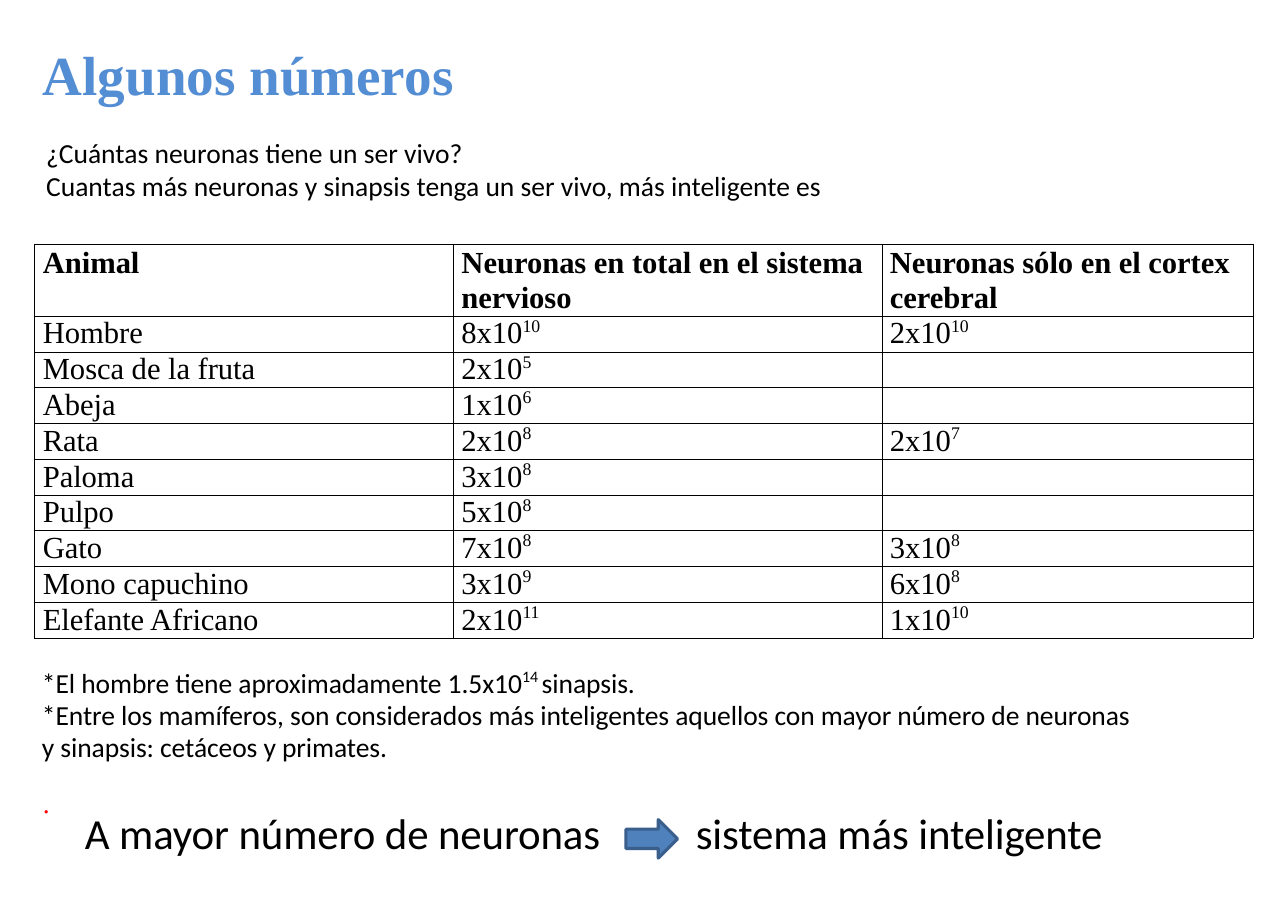
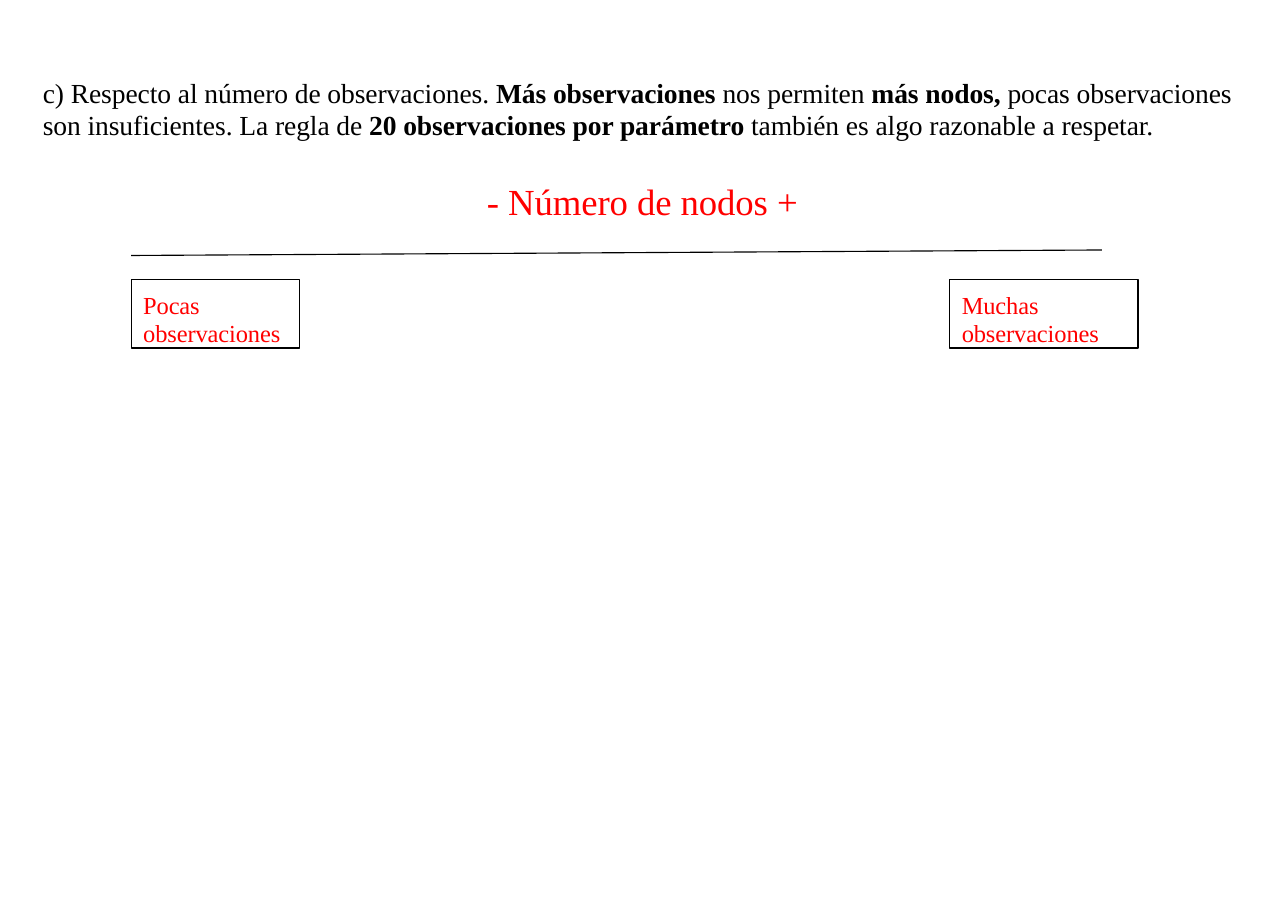
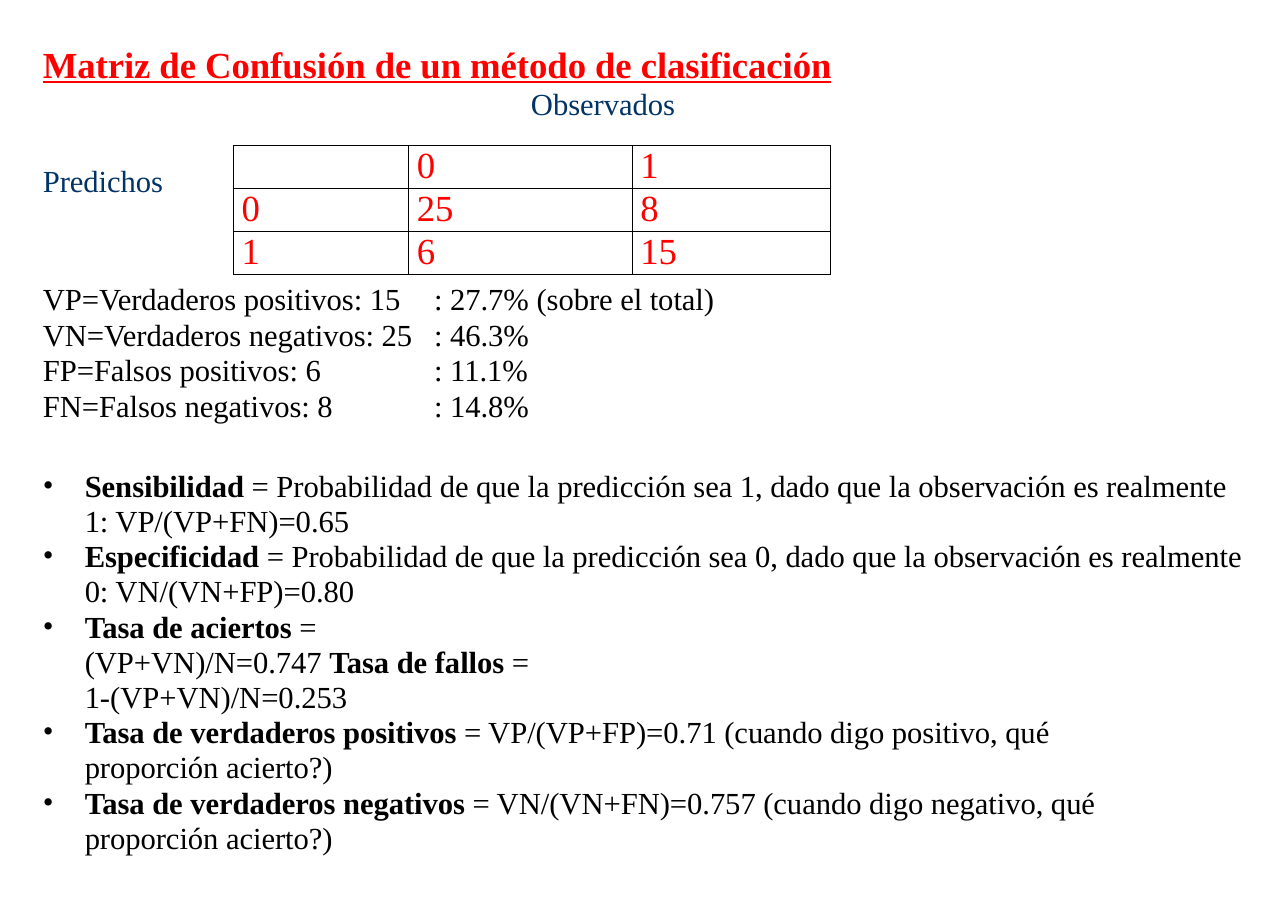
"""Build three slides on neurons, network size and the confusion matrix."""
from dataclasses import dataclass, replace
from typing import NamedTuple

from lxml.etree import SubElement
from pptx import Presentation
from pptx.dml.color import RGBColor
from pptx.enum.shapes import MSO_CONNECTOR, MSO_SHAPE
from pptx.enum.text import MSO_ANCHOR, PP_ALIGN
from pptx.oxml import parse_xml
from pptx.oxml.ns import nsdecls, qn
from pptx.util import Pt

BLACK, RED, NAVY = "000000", "FF0000", "003366"
TITLE_BLUE, ARROW_BLUE, ARROW_EDGE = "538DD3", "4F81BD", "3A5F8C"
SERIF, SANS = "Times New Roman", "Calibri"
MARGIN = 28
CELL_INSET = 5.3
BULLET_INDENT = 27.4


class Run(NamedTuple):
    """A stretch of text with one look."""
    text: str
    bold: bool = False
    raised: bool = False


class Box(NamedTuple):
    """A rectangle in points."""
    left: float
    top: float
    width: float
    height: float


@dataclass(frozen=True)
class Style:
    """The look shared by all the runs of a text."""
    size: float
    color: str = BLACK
    font: str = SERIF
    bold: bool = False
    underline: bool = False
    line_height: float | None = None
    tracking: int = -5
    bulleted: bool = False


Lines = list[list[Run]]

BODY = Style(20)
SANS_BODY = Style(18, font=SANS)
TITLE = Style(36, TITLE_BLUE, bold=True, tracking=0)
RED_TITLE = Style(24, RED, bold=True, underline=True, line_height=28.2)
AXIS_LABEL = Style(20, NAVY)
CONCLUSION = Style(28, font=SANS)
RANGE_LABEL = Style(16, RED, line_height=18.5)

ANIMALS = [
    ("Hombre", "8x10^10", "2x10^10"),
    ("Mosca de la fruta", "2x10^5", ""),
    ("Abeja", "1x10^6", ""),
    ("Rata", "2x10^8", "2x10^7"),
    ("Paloma", "3x10^8", ""),
    ("Pulpo", "5x10^8", ""),
    ("Gato", "7x10^8", "3x10^8"),
    ("Mono capuchino", "3x10^9", "6x10^8"),
    ("Elefante Africano", "2x10^11", "1x10^10"),
]
ANIMAL_HEADER = ("Animal", "Neuronas en total en el sistema nervioso",
                 "Neuronas sólo en el cortex cerebral")
MATRIX = [("", "0", "1"), ("0", "25", "8"), ("1", "6", "15")]
OUTCOMES = [
    ("VP=Verdaderos positivos: 15", ": 27.7% (sobre el total)"),
    ("VN=Verdaderos negativos: 25", ": 46.3%"),
    ("FP=Falsos positivos: 6", ": 11.1%"),
    ("FN=Falsos negativos: 8", ": 14.8%"),
]
MEASURES = [
    [Run("Sensibilidad ", True),
     Run("= Probabilidad de que la predicción sea 1, dado que la observación "
         "es realmente 1: VP/(VP+FN)=0.65")],
    [Run("Especificidad ", True),
     Run("= Probabilidad de que la predicción sea 0, dado que la observación "
         "es realmente 0: VN/(VN+FP)=0.80")],
    [Run("Tasa de aciertos ", True), Run("=\n(VP+VN)/N=0.747 "),
     Run("Tasa de fallos ", True), Run("=\n1-(VP+VN)/N=0.253")],
    [Run("Tasa de verdaderos positivos ", True),
     Run("= VP/(VP+FP)=0.71 (cuando digo positivo, qué\nproporción acierto?)")],
    [Run("Tasa de verdaderos negativos ", True),
     Run("= VN/(VN+FN)=0.757 (cuando digo negativo, qué\nproporción acierto?)")],
]


def rgb(color: str) -> RGBColor:
    """Turn a hex string into a colour."""
    return RGBColor.from_string(color)


def plain(*texts: str) -> Lines:
    """Make one paragraph of one run from each text."""
    return [[Run(text)] for text in texts]


def power(text: str) -> list[Run]:
    """Split a text at its caret into a base and a raised exponent."""
    base, _, exponent = text.partition("^")
    return [run for run in (Run(base), Run(exponent, raised=True)) if run.text]


def add_run(paragraph, text: str, content: Run, style: Style) -> None:
    """Add one run without line breaks to a paragraph."""
    run = paragraph.add_run()
    run.text = text
    font = run.font
    font.name, font.size = style.font, Pt(style.size)
    font.bold = style.bold or content.bold
    font.underline = style.underline
    font.color.rgb = rgb(style.color)
    properties = run._r.get_or_add_rPr()
    properties.set("spc", str(style.tracking))
    if content.raised:
        properties.set("baseline", "38000")


def write(frame, lines: Lines, style: Style) -> None:
    """Fill a text frame with paragraphs in one style."""
    for index, runs in enumerate(lines):
        paragraph = frame.paragraphs[0] if index == 0 else frame.add_paragraph()
        paragraph.alignment = PP_ALIGN.LEFT
        if style.line_height:
            paragraph.line_spacing = Pt(style.line_height)
        if style.bulleted:
            properties = paragraph._p.get_or_add_pPr()
            properties.set("marL", str(Pt(BULLET_INDENT)))
            properties.set("indent", str(-Pt(BULLET_INDENT)))
            SubElement(properties, qn("a:buFont"), typeface=SERIF)
            SubElement(properties, qn("a:buChar"), char="•")
        for content in runs:
            for part, text in enumerate(content.text.split("\n")):
                if part:
                    paragraph.add_line_break()
                add_run(paragraph, text, content, style)


def set_insets(holder, left: float = 0, top: float = 0) -> None:
    """Set the left and top insets of a frame or cell and clear the others."""
    holder.margin_left, holder.margin_top = Pt(left), Pt(top)
    holder.margin_right = holder.margin_bottom = 0


def add_text(slide, box: Box, lines: Lines, style: Style) -> None:
    """Add a wrapping text box without insets."""
    frame = slide.shapes.add_textbox(*map(Pt, box)).text_frame
    frame.word_wrap = True
    set_insets(frame)
    write(frame, lines, style)


def add_shape(slide, kind: MSO_SHAPE, box: Box, line: str, weight: float,
              fill: str | None = None):
    """Add a flat preset shape."""
    shape = slide.shapes.add_shape(kind, *map(Pt, box))
    shape.shadow.inherit = False
    shape.line.color.rgb, shape.line.width = rgb(line), Pt(weight)
    if fill:
        shape.fill.solid()
        shape.fill.fore_color.rgb = rgb(fill)
    else:
        shape.fill.background()
    return shape


def add_line(slide, start: tuple[float, float], end: tuple[float, float]) -> None:
    """Add a thin black straight line."""
    line = slide.shapes.add_connector(MSO_CONNECTOR.STRAIGHT, *map(Pt, start + end))
    line.line.color.rgb, line.line.width = rgb(BLACK), Pt(0.75)
    SubElement(line._element.spPr, qn("a:effectLst"))


def frame_cell(cell) -> None:
    """Leave a cell unfilled and draw its four thin black borders."""
    cell.fill.background()
    properties = cell._tc.get_or_add_tcPr()
    for index, side in enumerate("LRTB"):
        properties.insert(index, parse_xml(
            f'<a:ln{side} {nsdecls("a")} w="{Pt(0.5)}"><a:solidFill>'
            f'<a:srgbClr val="{BLACK}"/></a:solidFill></a:ln{side}>'))


def add_grid(slide, left: float, top: float, widths: list[float],
             heights: list[float], rows: list, styles: list[Style]) -> None:
    """Add a ruled table with one style for each row."""
    table = slide.shapes.add_table(
        len(rows), len(widths), Pt(left), Pt(top),
        Pt(sum(widths)), Pt(sum(heights))).table
    table.first_row = table.horz_banding = False
    for column, width in zip(table.columns, widths):
        column.width = Pt(width)
    for row, height, texts, style in zip(table.rows, heights, rows, styles):
        row.height = Pt(height)
        for cell, text in zip(row.cells, texts):
            set_insets(cell, CELL_INSET)
            frame_cell(cell)
            if text:
                write(cell.text_frame, [power(text)], style)


def build_numbers(slide) -> None:
    """Draw the slide that compares the neurons of animals."""
    add_text(slide, Box(MARGIN, 26.2, 400, 45), plain("Algunos números"), TITLE)
    add_text(slide, Box(30.2, 88.6, 560, 44), plain(
        "¿Cuántas neuronas tiene un ser vivo?",
        "Cuantas más neuronas y sinapsis tenga un ser vivo, más inteligente es"),
        replace(SANS_BODY, tracking=0))
    row_style = replace(BODY, line_height=22.5)
    header_style = replace(BODY, bold=True, line_height=23)
    count = len(ANIMALS)
    add_grid(slide, 22.7, 159.8, [273.6, 280, 242.6], [46.8] + [23.4] * count,
             [ANIMAL_HEADER, *ANIMALS], [header_style] + [row_style] * count)
    add_text(slide, Box(27.4, 435.2, 718, 22), [
        [Run("*El hombre tiene aproximadamente 1.5x10"),
         Run("14 ", raised=True), Run("sinapsis.")]], SANS_BODY)
    add_text(slide, Box(27.4, 457.2, 718, 42), plain(
        "*Entre los mamíferos, son considerados más inteligentes aquellos con "
        "mayor número de neuronas y sinapsis: cetáceos y primates."),
        replace(SANS_BODY, line_height=20.8))
    add_text(slide, Box(MARGIN, 513.7, 8, 22), plain("."), Style(18, RED))
    for left, text in ((55.5, "A mayor número de neuronas"),
                       (454.7, "sistema más inteligente")):
        add_text(slide, Box(left, 527.4, 345, 35), plain(text), CONCLUSION)
    add_shape(slide, MSO_SHAPE.RIGHT_ARROW, Box(409, 535.7, 33.8, 25.2),
              ARROW_EDGE, 2, ARROW_BLUE)


def build_observations(slide) -> None:
    """Draw the slide on the number of observations."""
    add_text(slide, Box(MARGIN, 50.8, 787, 42), [[
        Run("c) Respecto al número de observaciones. "),
        Run("Más observaciones ", True), Run("nos permiten "),
        Run("más nodos, ", True),
        Run("pocas observaciones son insuficientes. La regla de "),
        Run("20 observaciones por parámetro ", True),
        Run("también es algo razonable a respetar.")]],
        Style(18, line_height=20.6))
    add_text(slide, Box(318.2, 117, 230, 29), plain("- Número de nodos +"),
             Style(24, RED))
    add_line(slide, (85.7, 167), (720, 163.4))
    for left, width, amount in ((85.7, 110.2, "Pocas"), (620.6, 123.1, "Muchas")):
        shape = add_shape(slide, MSO_SHAPE.RECTANGLE,
                          Box(left, 182.9, width, 44.6), BLACK, 0.75)
        frame = shape.text_frame
        frame.vertical_anchor = MSO_ANCHOR.TOP
        set_insets(frame, 7.9, 7.3)
        write(frame, plain(f"{amount} observaciones"), RANGE_LABEL)


def build_confusion(slide) -> None:
    """Draw the slide on the confusion matrix."""
    add_text(slide, Box(MARGIN, 27.6, 540, 28.2),
             plain("Matriz de Confusión de un método de clasificación"), RED_TITLE)
    add_text(slide, Box(347, 55.8, 120, 23.4), plain("Observados"),
             replace(AXIS_LABEL, line_height=23.4))
    add_text(slide, Box(MARGIN, 105.5, 100, 24), plain("Predichos"), AXIS_LABEL)
    for left, texts in zip((MARGIN, 283.7), zip(*OUTCOMES)):
        add_text(slide, Box(left, 184, 250, 93), plain(*texts),
                 replace(BODY, line_height=23.2))
    add_text(slide, Box(MARGIN, 306.2, 789, 255), MEASURES,
             replace(BODY, line_height=23, bulleted=True))
    add_grid(slide, 152.6, 95, [114.5, 146.2, 129.6], [28.1] * 3, MATRIX,
             [Style(24, RED, line_height=27.1)] * 3)


def main() -> None:
    """Build and save the presentation."""
    presentation = Presentation()
    presentation.slide_width, presentation.slide_height = Pt(841.68), Pt(595.44)
    for build in (build_numbers, build_observations, build_confusion):
        build(presentation.slides.add_slide(presentation.slide_layouts[6]))
    presentation.save("out.pptx")


if __name__ == "__main__":
    main()
